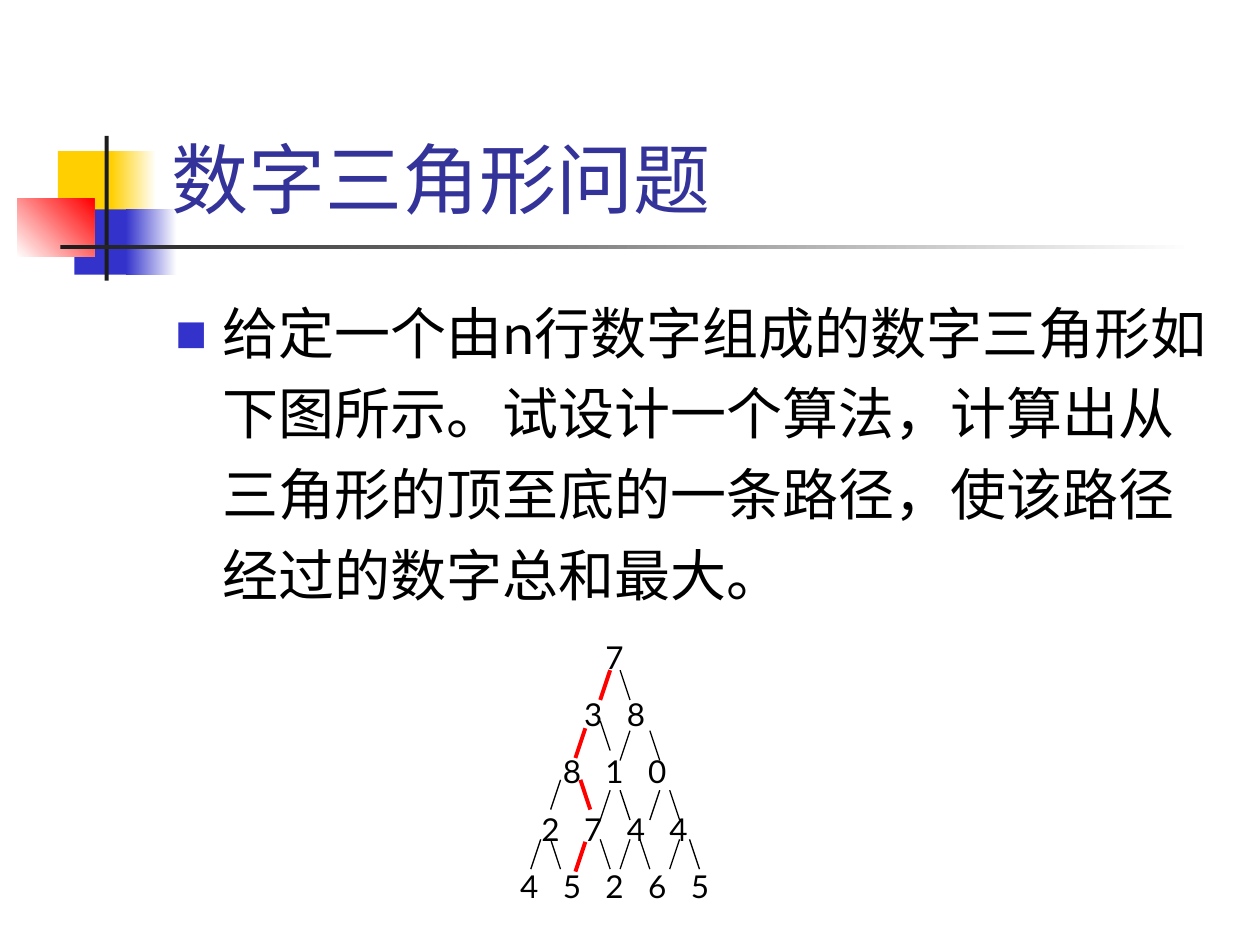
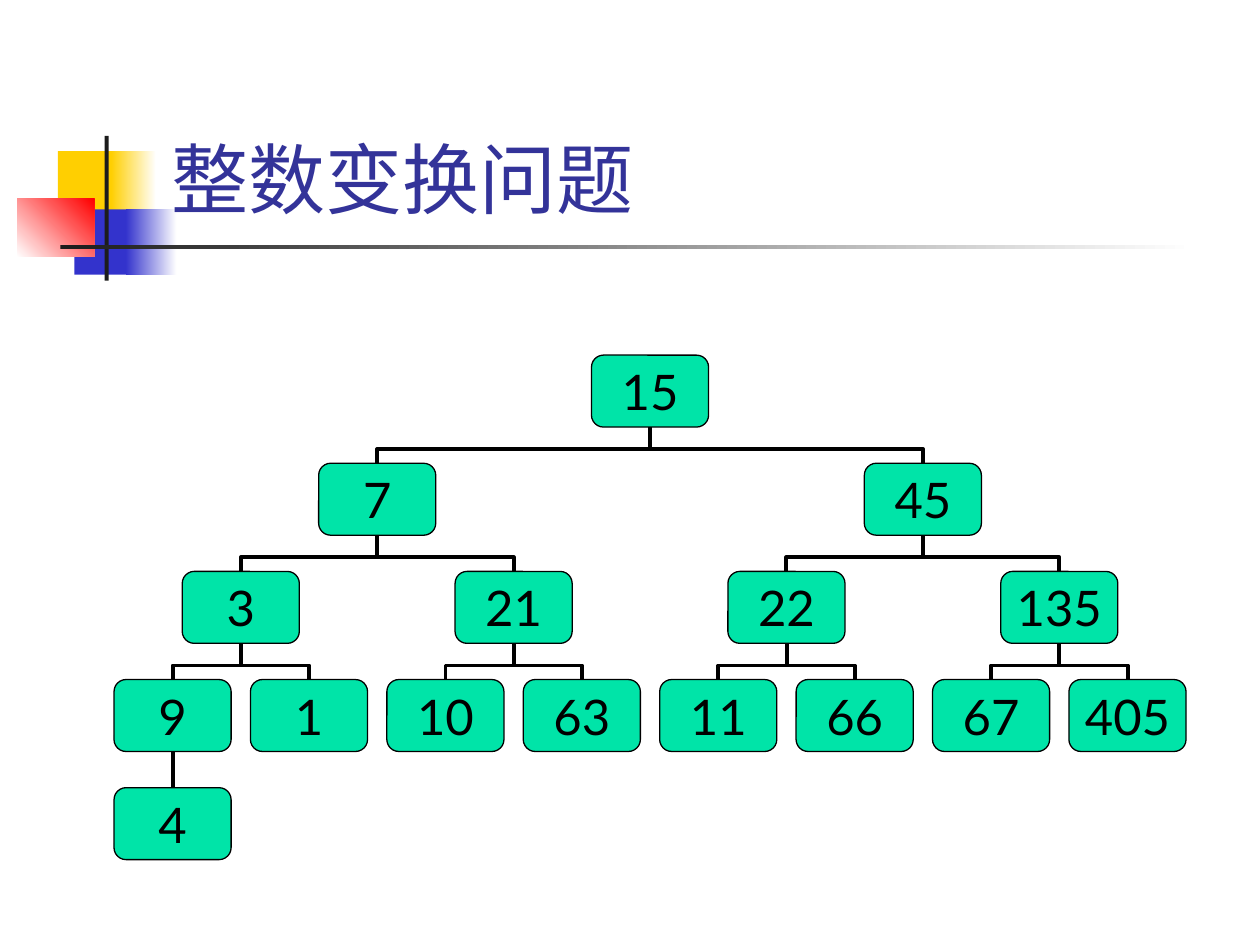
from dataclasses import dataclass

from lxml import etree
from pptx import Presentation
from pptx import util as u
from pptx.dml.color import RGBColor
from pptx.enum import shapes, text
from pptx.oxml.ns import qn


@dataclass(frozen=True)
class Theme:
    font: str = "Lato"
    title_color: str = "333399"
    ink: str = "000000"
    paper: str = "FFFFFF"
    yellow: str = "FFCF01"
    blue: str = "3333CC"
    red: str = "FF0000"
    bar: str = "1C1C1C"
    node: str = "00E4A8"
    title_size: int = 44
    body_size: int = 32
    node_size: int = 28
    digit_size: int = 18
    thin: float = 0.75
    thick: float = 2.25


THEME = Theme()

TRIANGLE = ["7", "38", "810", "2744", "45265"]
# Top of the edges, starts leaning left, starts leaning right
EDGES = [
    (13.51, [], [12.5]),
    (14.53, [], [12.1]),
    (14.73, [12.7], [13.1]),
    (15.72, [11.3], []),
    (15.93, [12.3, 13.3], [12.5, 13.5]),
    (16.92, [10.9, 12.7, 13.7], [11.1, 12.1, 12.9, 13.9]),
]
BEST_PATH = [
    (13.51, [12.3], []),
    (14.68, [11.8], []),
    (15.72, [], [11.7]),
    (16.97, [11.8], []),
]
TREE = [
    ["15"],
    ["7", "45"],
    ["3", "21", "22", "135"],
    ["9", "1", "10", "63", "11", "66", "67", "405"],
]


def rgb(color):
    return RGBColor.from_string(color)


def place(item, left, top, width, height):
    item.left, item.top = u.Cm(left), u.Cm(top)
    item.width, item.height = u.Cm(width), u.Cm(height)


def write(paragraph, content, size, color=THEME.ink, align=text.PP_ALIGN.LEFT,
          before=0, spacing=None):
    paragraph.alignment = align
    paragraph.space_before = u.Pt(before)
    if spacing:
        paragraph.line_spacing = spacing
    run = paragraph.add_run()
    run.text = content
    run.font.name = THEME.font
    run.font.size = u.Pt(size)
    run.font.color.rgb = rgb(color)
    etree.SubElement(run.font._element, qn("a:ea"), typeface=THEME.font)


def add_bullet(paragraph, mark, color, percent, indent):
    props = paragraph._p.get_or_add_pPr()
    props.set("marL", str(u.Cm(indent)))
    props.set("indent", str(-u.Cm(indent)))
    mark_color = etree.SubElement(props, qn("a:buClr"))
    etree.SubElement(mark_color, qn("a:srgbClr"), val=color)
    etree.SubElement(props, qn("a:buSzPct"), val=str(percent * 1000))
    etree.SubElement(props, qn("a:buFont"), typeface=THEME.font)
    etree.SubElement(props, qn("a:buChar"), char=mark)


def add_centred_tabs(paragraph, stops):
    tabs = etree.SubElement(paragraph._p.get_or_add_pPr(), qn("a:tabLst"))
    for stop in stops:
        etree.SubElement(tabs, qn("a:tab"), pos=str(u.Cm(stop)), algn="ctr")


def add_block(slide, left, top, width, height, start, end=None, angle=0):
    """Add a borderless rectangle, graded from start to end if end is given."""
    block = slide.shapes.add_shape(shapes.MSO_SHAPE.RECTANGLE, 0, 0, 0, 0)
    place(block, left, top, width, height)
    block.shadow.inherit = False
    block.line.fill.background()
    if end is None:
        block.fill.solid()
        block.fill.fore_color.rgb = rgb(start)
    else:
        block.fill.gradient()
        block.fill.gradient_angle = angle
        for stop, color in zip(block.fill.gradient_stops, (start, end)):
            stop.color.rgb = rgb(color)
    return block


def decorate_master(prs, slide):
    """Draw the corner ornament and move it behind everything on the master."""
    t = THEME
    ornament = [
        add_block(slide, 1.17, 3.05, 1.22, 1.32, t.yellow),
        add_block(slide, 2.24, 3.05, 0.91, 1.32, t.yellow, t.paper),
        add_block(slide, 1.5, 4.22, 1.17, 1.32, t.blue),
        add_block(slide, 2.54, 4.22, 1.02, 1.32, t.blue, t.paper),
        add_block(slide, 0.35, 4.01, 1.55, 1.17, t.paper, t.red, 45),
        add_block(slide, 2.11, 2.74, 0.08, 2.92, t.bar),
        add_block(slide, 1.22, 4.94, 22.86, 0.09, t.bar, t.paper),
    ]
    tree = prs.slide_master.shapes._spTree
    for depth, block in enumerate(ornament, start=2):
        tree.insert(depth, block._element)


def add_title(slide, content):
    title = slide.shapes.title
    place(title, 3.2, 0.58, 21.64, 4.06)
    title.text_frame.auto_size = text.MSO_AUTO_SIZE.NONE
    title.text_frame.vertical_anchor = text.MSO_ANCHOR.BOTTOM
    write(title.text_frame.paragraphs[0], content, THEME.title_size,
          color=THEME.title_color)


def add_body(slide, content):
    body = slide.placeholders[1]
    place(body, 3.28, 5.61, 21.59, 7.09)
    body.text_frame.auto_size = text.MSO_AUTO_SIZE.NONE
    paragraph = body.text_frame.paragraphs[0]
    write(paragraph, content, THEME.body_size, before=8, spacing=1.2)
    add_bullet(paragraph, "■", THEME.blue, 60, 0.95)


def add_link(slide, kind, start, end, color=THEME.ink, weight=THEME.thick):
    ends = [u.Cm(value) for value in (*start, *end)]
    link = slide.shapes.add_connector(kind, *ends)
    link.line.color.rgb = rgb(color)
    link.line.width = u.Pt(weight)
    etree.SubElement(link._element.spPr, qn("a:effectLst"))
    return link


def add_edges(slide, edges, color, weight):
    for top, left_starts, right_starts in edges:
        for starts, lean in ((left_starts, -0.2), (right_starts, 0.2)):
            for x in starts:
                add_link(slide, shapes.MSO_CONNECTOR.STRAIGHT, (x, top),
                         (x + lean, top + 0.6), color, weight)


def add_triangle(slide):
    width, inset, pitch = 9.8, 0.25, 0.86
    box = slide.shapes.add_textbox(0, 0, 0, 0)
    place(box, 7.49, 12.73, width, 5.66)
    frame = box.text_frame
    frame.word_wrap = True
    for index, digits in enumerate(TRIANGLE):
        row = frame.add_paragraph() if index else frame.paragraphs[0]
        write(row, "".join("\t" + digit for digit in digits),
              THEME.digit_size, before=11.2)
        first = width / 2 - inset - pitch * index / 2
        add_centred_tabs(row, [first + pitch * i for i in range(len(digits))])
    add_edges(slide, EDGES, THEME.ink, THEME.thin)
    add_edges(slide, BEST_PATH, THEME.red, THEME.thick)


def add_node(slide, label, centre, top, width, height):
    node = slide.shapes.add_shape(shapes.MSO_SHAPE.ROUNDED_RECTANGLE, 0, 0, 0, 0)
    place(node, centre - width / 2, top, width, height)
    node.shadow.inherit = False
    node.fill.solid()
    node.fill.fore_color.rgb = rgb(THEME.node)
    node.line.color.rgb = rgb(THEME.ink)
    node.line.width = u.Pt(THEME.thin)
    frame = node.text_frame
    frame.word_wrap = False
    frame.vertical_anchor = text.MSO_ANCHOR.MIDDLE
    frame.margin_left = frame.margin_right = u.Cm(0.1)
    frame.margin_top = frame.margin_bottom = u.Cm(0.05)
    write(frame.paragraphs[0], label, THEME.node_size,
          align=text.PP_ALIGN.CENTER)
    return node


def add_branch(slide, child, parent, start, end):
    """Join the child's top to the parent's bottom, bending near the child."""
    branch = add_link(slide, shapes.MSO_CONNECTOR.ELBOW, start, end)
    branch.begin_connect(child, 0)
    branch.end_connect(parent, 2)
    # The elbow lies on its side, so its box is turned a quarter
    gap, span = start[1] - end[1], abs(start[0] - end[0])
    middle_x, middle_y = (start[0] + end[0]) / 2, (start[1] + end[1]) / 2
    place(branch, middle_x - gap / 2, middle_y - span / 2, gap, span)
    on_left = start[0] < end[0]
    frame = branch._element.spPr.find(qn("a:xfrm"))
    frame.set("rot", str((90 if on_left else 270) * 60000))
    frame.set("flipH", "1" if on_left else "0")
    frame.set("flipV", "1")
    geometry = branch._element.spPr.find(qn("a:prstGeom"))
    etree.SubElement(geometry.find(qn("a:avLst")), qn("a:gd"),
                     name="adj1", fmla="val 38800")


def add_tree(slide):
    first_leaf, leaf_pitch = 3.48, 2.75
    root_top, level_pitch = 7.16, 2.18
    width, height = 2.36, 1.45
    parents = []
    for depth, labels in enumerate(TREE):
        top = root_top + level_pitch * depth
        leaves = len(TREE[-1]) // len(labels)
        level = []
        for index, label in enumerate(labels):
            centre = first_leaf + leaf_pitch * (leaves * (2 * index + 1) - 1) / 2
            node = add_node(slide, label, centre, top, width, height)
            level.append((node, centre))
            if parents:
                parent, parent_centre = parents[index // 2]
                add_branch(slide, node, parent, (centre, top),
                           (parent_centre, top - level_pitch + height))
        parents = level

    leaf, centre = parents[0]
    top = root_top + level_pitch * len(TREE)
    last = add_node(slide, "4", centre, top, width, height)
    stem = add_link(slide, shapes.MSO_CONNECTOR.STRAIGHT, (centre, top),
                    (centre, top - level_pitch + height))
    stem.begin_connect(last, 0)
    stem.end_connect(leaf, 2)


def main():
    prs = Presentation()
    prs.slide_width, prs.slide_height = u.Cm(25.4), u.Cm(19.05)

    triangle_slide = prs.slides.add_slide(prs.slide_layouts[1])
    decorate_master(prs, triangle_slide)
    add_title(triangle_slide, "数字三角形问题")
    add_body(triangle_slide, "给定一个由n行数字组成的数字三角形如下图所示。"
             "试设计一个算法，计算出从三角形的顶至底的一条路径，"
             "使该路径经过的数字总和最大。")
    add_triangle(triangle_slide)

    tree_slide = prs.slides.add_slide(prs.slide_layouts[5])
    add_title(tree_slide, "整数变换问题")
    add_tree(tree_slide)

    prs.save("out.pptx")


if __name__ == "__main__":
    main()
